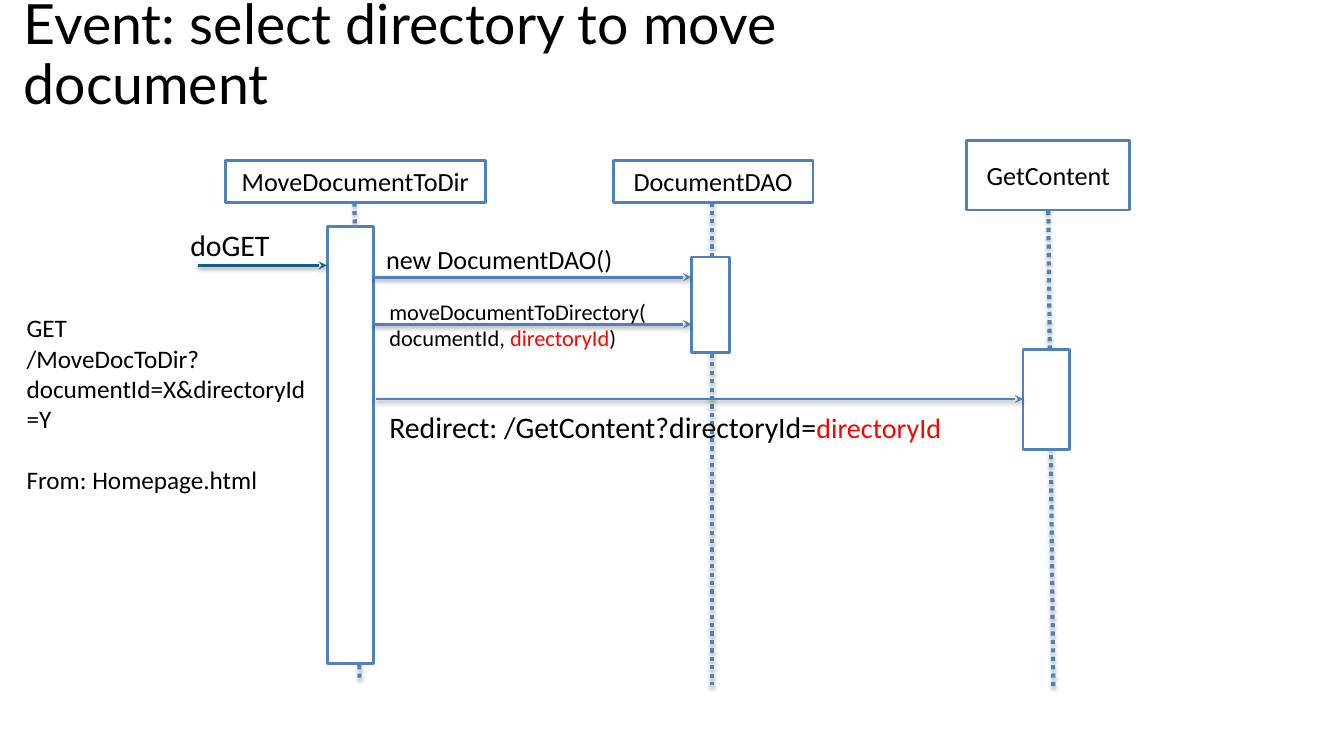
from dataclasses import dataclass
from typing import NamedTuple

from lxml import etree
from pptx import Presentation
from pptx import util as u
from pptx.dml.color import RGBColor
from pptx.enum import dml, shapes, text
from pptx.oxml import ns

COLUMNS, ROWS = 160, 90
SLIDE_WIDTH, SLIDE_HEIGHT = u.Inches(13.333), u.Inches(7.5)

BLACK = RGBColor(0x00, 0x00, 0x00)
WHITE = RGBColor(0xFF, 0xFF, 0xFF)
RED = RGBColor(0xFF, 0x00, 0x00)
BLUE = RGBColor(0x4F, 0x81, 0xBD)
TEAL = RGBColor(0x15, 0x60, 0x82)
BODY_FONT, TITLE_FONT = "Calibri", "Lato"


class Area(NamedTuple):
    column: float
    row: float
    columns: float
    rows: float


class Point(NamedTuple):
    column: float
    row: float


class Span(NamedTuple):
    words: str
    size: float
    color: RGBColor = BLACK


@dataclass(frozen=True)
class Lifeline:
    name: str
    head: Area
    start: Point
    end: Point
    activation: Area


@dataclass(frozen=True)
class Message:
    start: float
    end: float
    row: float
    color: RGBColor = BLUE


@dataclass(frozen=True)
class Label:
    area: Area
    paras: list[list[Span]]
    align: text.PP_ALIGN = text.PP_ALIGN.LEFT
    gap: float = 0  # points before the last paragraph


LIFELINES = [
    Lifeline("MoveDocumentToDir", Area(26.8, 19.1, 31, 5), Point(42.2, 24.1),
             Point(42.8, 81.1), Area(39, 27, 5.5, 52)),
    Lifeline("DocumentDAO", Area(73, 19.1, 23.8, 5), Point(84.8, 24.1),
             Point(84.8, 81.6), Area(82.3, 30.6, 4.6, 11.4)),
    Lifeline("GetContent", Area(115.1, 16.7, 19.4, 8.3), Point(124.8, 25.1),
             Point(125.4, 82.1), Area(121.8, 41.6, 5.5, 11.9)),
]
MESSAGES = [
    Message(23.6, 38.9, 31.6, TEAL),
    Message(44.4, 82.3, 33),
    Message(44.4, 82.3, 38.6),
    Message(44.8, 121.8, 47.5),
]
LABELS = [
    Label(Area(21.1, 26.2, 16.4, 4.8), [[Span("doGET", 21.3)]]),
    Label(Area(44.4, 28.1, 47.9, 4.1), [[Span("new DocumentDAO()", 18.7)]]),
    Label(Area(44.8, 34.6, 34.2, 7.4),
          [[Span("moveDocumentToDirectory(documentId, ", 16),
            Span("directoryId", 16, RED), Span(")", 16)]]),
    Label(Area(44.4, 47.8, 69.6, 5.8),
          [[Span("Redirect: /GetContent?directoryId=", 21.3),
            Span("directoryId", 20, RED)]], text.PP_ALIGN.CENTER),
    Label(Area(1.6, 36.4, 37, 27.4),
          [[Span("GET", 18)],
           [Span("/MoveDocToDir?documentId=X&directoryId=Y", 18)],
           [Span("From: Homepage.html", 18)]], gap=22),
]


def across(columns: float) -> int:
    return round(SLIDE_WIDTH * columns / COLUMNS)


def down(rows: float) -> int:
    return round(SLIDE_HEIGHT * rows / ROWS)


def place(area: Area) -> tuple[int, int, int, int]:
    return (across(area.column), down(area.row),
            across(area.columns), down(area.rows))


def add_spans(para, spans: list[Span], font: str = BODY_FONT) -> None:
    for span in spans:
        run = para.add_run()
        run.text = span.words
        run.font.name = font
        run.font.size = u.Pt(span.size)
        run.font.color.rgb = span.color


def set_insets(frame) -> None:
    frame.word_wrap = True
    frame.margin_left = frame.margin_right = u.Inches(0.13)
    frame.margin_top = frame.margin_bottom = u.Inches(0.07)


def add_box(page, area: Area, name: str = "") -> None:
    box = page.shapes.add_shape(shapes.MSO_SHAPE.RECTANGLE, *place(area))
    box.shadow.inherit = False
    box.fill.solid()
    box.fill.fore_color.rgb = WHITE
    box.line.color.rgb = BLUE
    box.line.width = u.Pt(2)
    if name:
        set_insets(box.text_frame)
        box.text_frame.vertical_anchor = text.MSO_ANCHOR.MIDDLE
        para = box.text_frame.paragraphs[0]
        para.alignment = text.PP_ALIGN.CENTER
        add_spans(para, [Span(name, 18.7)])


def add_line(page, start: Point, end: Point, color: RGBColor, width: float,
             distance: float, opacity: int):
    """Draw a line with a soft shadow falling straight down."""
    line = page.shapes.add_connector(
        shapes.MSO_CONNECTOR.STRAIGHT, across(start.column), down(start.row),
        across(end.column), down(end.row))
    line.line.color.rgb = color
    line.line.width = u.Pt(width)
    effects = etree.SubElement(line._element.spPr, ns.qn("a:effectLst"))
    shadow = etree.SubElement(
        effects, ns.qn("a:outerShdw"), blurRad=str(u.Pt(3.1)),
        dist=str(u.Pt(distance)), dir="5400000", rotWithShape="0")
    shade = etree.SubElement(shadow, ns.qn("a:srgbClr"), val=str(BLACK))
    etree.SubElement(shade, ns.qn("a:alpha"), val=str(opacity * 1000))
    return line


def add_lifeline(page, lifeline: Lifeline) -> None:
    add_box(page, lifeline.head, lifeline.name)
    line = add_line(page, lifeline.start, lifeline.end, BLUE, 3, 1.8, 35)
    line.line.dash_style = dml.MSO_LINE.ROUND_DOT
    add_box(page, lifeline.activation)


def add_message(page, message: Message) -> None:
    arrow = add_line(page, Point(message.start, message.row),
                     Point(message.end, message.row), message.color, 2, 1.6, 38)
    etree.SubElement(arrow.line._get_or_add_ln(), ns.qn("a:tailEnd"),
                     type="stealth")


def add_label(page, label: Label) -> None:
    frame = page.shapes.add_textbox(*place(label.area)).text_frame
    set_insets(frame)
    for index, spans in enumerate(label.paras):
        para = frame.add_paragraph() if index else frame.paragraphs[0]
        para.alignment = label.align
        add_spans(para, spans)
    if label.gap:
        frame.paragraphs[-1].space_before = u.Pt(label.gap)


def set_title(page, words: str) -> None:
    title = page.shapes.title
    title.left, title.top, title.width, title.height = place(
        Area(1.6, 1.7, 115.6, 10.1))
    frame = title.text_frame
    frame.word_wrap = True
    frame.auto_size = text.MSO_AUTO_SIZE.NONE
    frame.vertical_anchor = text.MSO_ANCHOR.MIDDLE
    para = frame.paragraphs[0]
    para.alignment = text.PP_ALIGN.LEFT
    para.line_spacing = 0.9
    add_spans(para, [Span(words, 39.6)], TITLE_FONT)


def main() -> None:
    deck = Presentation()
    deck.slide_width, deck.slide_height = SLIDE_WIDTH, SLIDE_HEIGHT
    page = deck.slides.add_slide(deck.slide_layouts.get_by_name("Title Only"))
    set_title(page, "Event: select directory to move document")
    for lifeline in LIFELINES:
        add_lifeline(page, lifeline)
    for message in MESSAGES:
        add_message(page, message)
    for label in LABELS:
        add_label(page, label)
    deck.save("out.pptx")


if __name__ == "__main__":
    main()
